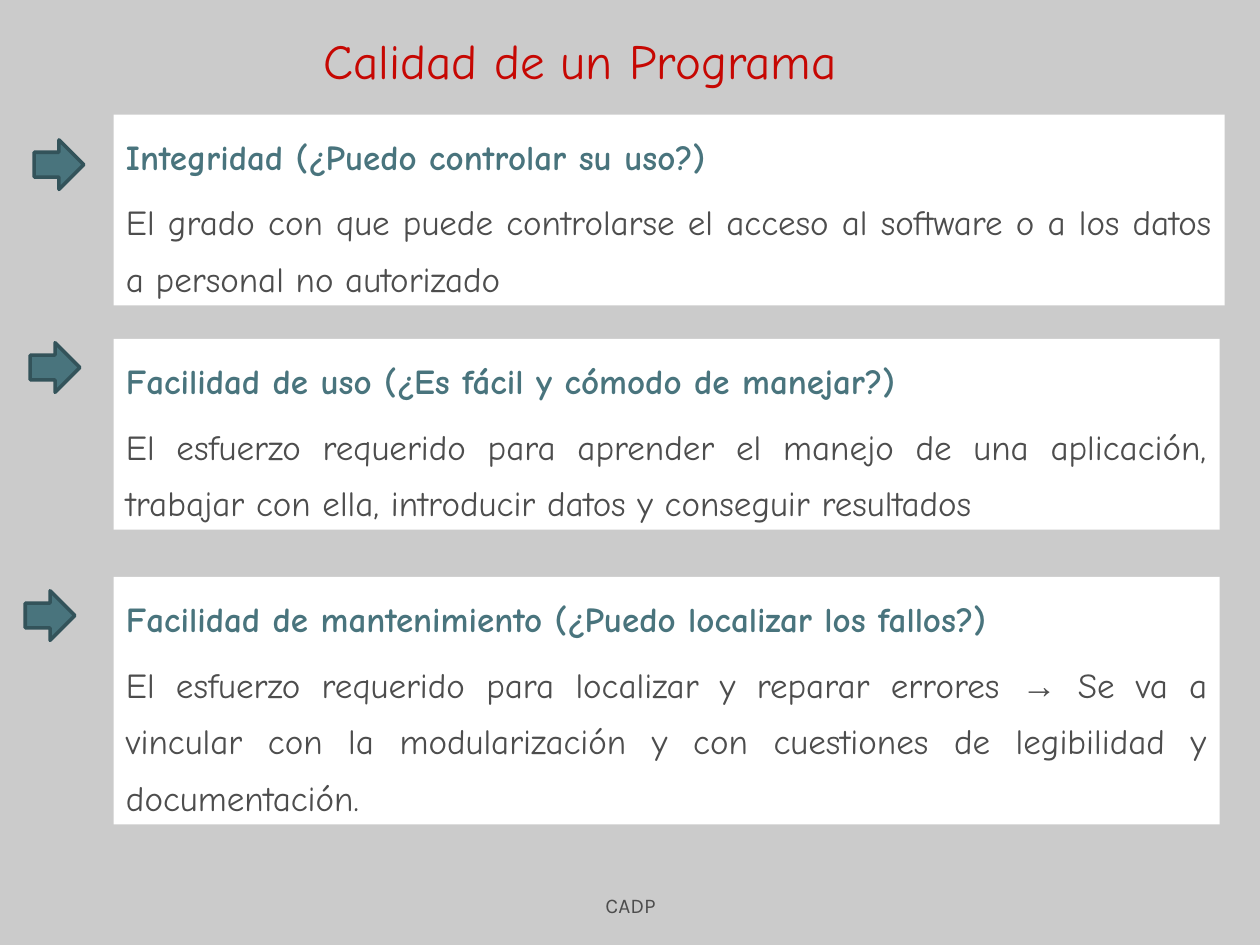
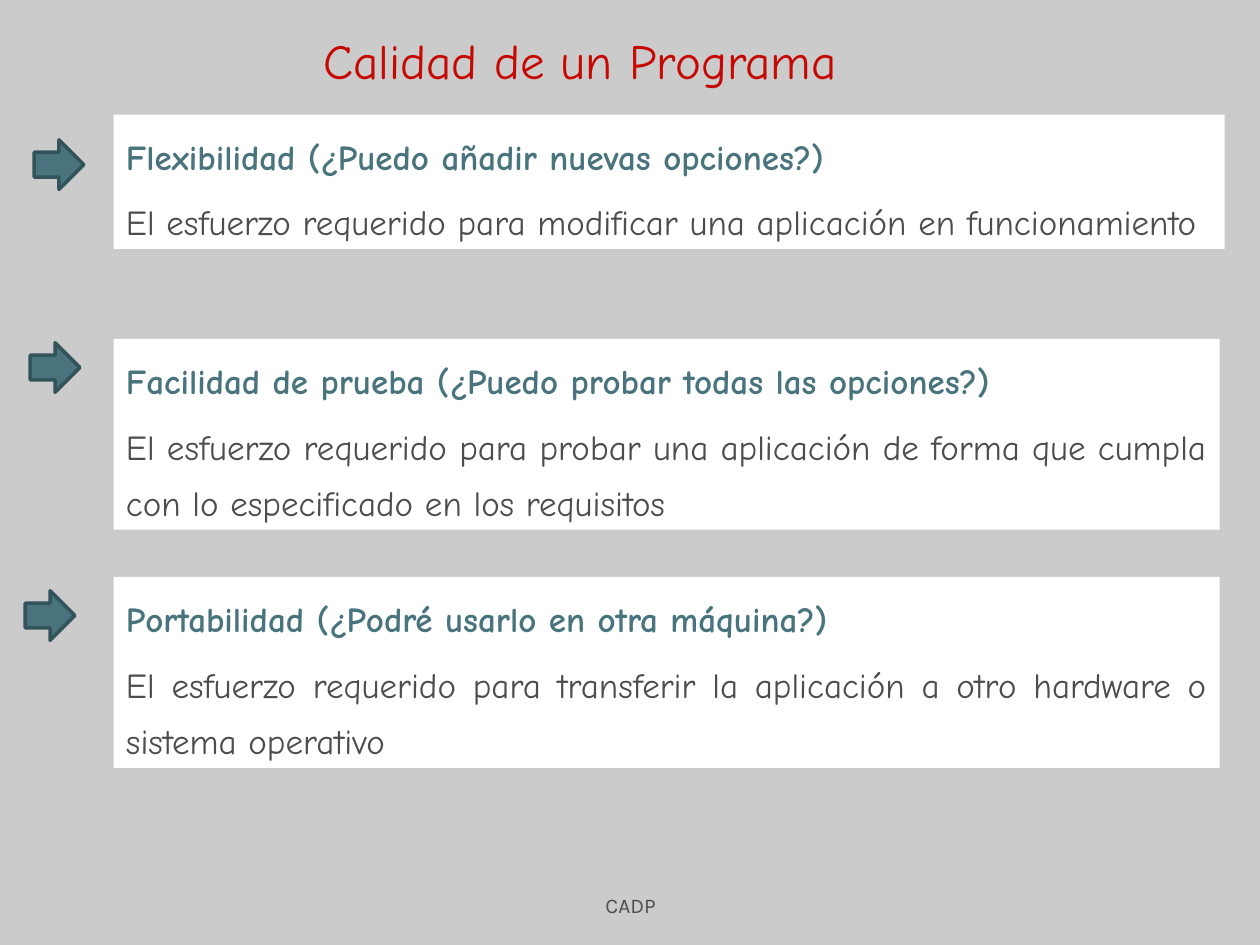
from pptx import Presentation
from pptx.dml.color import RGBColor
from pptx.enum.shapes import MSO_SHAPE
from pptx.enum.text import MSO_ANCHOR, MSO_AUTO_SIZE, PP_ALIGN
from pptx.util import Cm, Pt

GREY = RGBColor(0xCB, 0xCB, 0xCB)
WHITE = RGBColor(0xFF, 0xFF, 0xFF)
RED = RGBColor(0xC6, 0x07, 0x02)
TEAL = RGBColor(0x49, 0x74, 0x7D)
DARK_TEAL = RGBColor(0x33, 0x53, 0x5A)
TEXT_GREY = RGBColor(0x4D, 0x4D, 0x4D)
TEXT_FONT = "Comic Neue"
FOOTER_FONT = "Karla"
SYMBOL_FONT = "Arial"

TITLE = "Calidad de un Programa"
FOOTER = "CADP"

# Box top and width, then arrow left and top, in centimetres
ROWS = [
    (2.31, 22.4, 0.69, 2.82),
    (6.83, 22.3, 0.61, 6.91),
    (11.63, 22.3, 0.51, 11.91),
]
BOX_LEFT = 2.29
HEADING_HEIGHT = 1.57
LINE_HEIGHT = 1.14
ARROW_SIZE = 1

# Each quality: heading, definition, number of lines in the definition
SLIDES = [
    [
        ("Integridad (¿Puedo controlar su uso?)",
         "El grado con que puede controlarse el acceso al software o a los datos "
         "a personal no autorizado", 2),
        ("Facilidad de uso (¿Es fácil y cómodo de manejar?)",
         "El esfuerzo requerido para aprender el manejo de una aplicación, "
         "trabajar con ella, introducir datos y conseguir resultados", 2),
        ("Facilidad de mantenimiento (¿Puedo localizar los fallos?)",
         "El esfuerzo requerido para localizar y reparar errores → Se va a "
         "vincular con la modularización y con cuestiones de legibilidad y "
         "documentación.", 3),
    ],
    [
        ("Flexibilidad (¿Puedo añadir nuevas opciones?)",
         "El esfuerzo requerido para modificar una aplicación en funcionamiento", 1),
        ("Facilidad de prueba (¿Puedo probar todas las opciones?)",
         "El esfuerzo requerido para probar una aplicación de forma que cumpla "
         "con lo especificado en los requisitos", 2),
        ("Portabilidad (¿Podré usarlo en otra máquina?)",
         "El esfuerzo requerido para transferir la aplicación a otro hardware o "
         "sistema operativo", 2),
    ],
]


def format_paragraph(paragraph, font_name, size, color, bold=False,
                     alignment=PP_ALIGN.JUSTIFY, line_spacing=1.35, space_before=5):
    paragraph.alignment = alignment
    paragraph.line_spacing = line_spacing
    paragraph.space_before = Pt(space_before)
    font = paragraph.font
    font.name = font_name
    font.size = Pt(size)
    font.bold = bold
    font.color.rgb = color


def add_flat_shape(slide, shape_type, left, top, width, height, color):
    """Add a shadowless filled shape without outline, measured in centimetres."""
    shape = slide.shapes.add_shape(shape_type, Cm(left), Cm(top), Cm(width), Cm(height))
    shape.shadow.inherit = False
    shape.fill.solid()
    shape.fill.fore_color.rgb = color
    shape.line.fill.background()
    return shape


presentation = Presentation()
presentation.slide_width = Cm(25.4)
presentation.slide_height = Cm(19.05)
background = presentation.slide_master.background.fill
background.solid()
background.fore_color.rgb = GREY
title_only = presentation.slide_layouts.get_by_name("Title Only")

for qualities in SLIDES:
    slide = presentation.slides.add_slide(title_only)

    title = slide.shapes.title
    title.left, title.top, title.width, title.height = Cm(6.27), Cm(0.13), Cm(18.85), Cm(1.8)
    title.text_frame.text = TITLE
    title.text_frame.auto_size = MSO_AUTO_SIZE.NONE
    title.text_frame.vertical_anchor = MSO_ANCHOR.BOTTOM
    format_paragraph(title.text_frame.paragraphs[0], TEXT_FONT, 28, RED, space_before=7)

    footer = slide.shapes.add_textbox(Cm(8.69), Cm(17.35), Cm(8.05), Cm(1.27)).text_frame
    footer.word_wrap = True
    footer.vertical_anchor = MSO_ANCHOR.BOTTOM
    footer.text = FOOTER
    format_paragraph(footer.paragraphs[0], FOOTER_FONT, 12, TEXT_GREY,
                     alignment=PP_ALIGN.CENTER, line_spacing=1.0, space_before=0)

    for row, quality in zip(ROWS, qualities):
        box_top, box_width, arrow_left, arrow_top = row
        heading, definition, line_count = quality

        arrow = add_flat_shape(slide, MSO_SHAPE.RIGHT_ARROW, arrow_left, arrow_top,
                               ARROW_SIZE, ARROW_SIZE, TEAL)
        arrow.line.color.rgb = DARK_TEAL
        arrow.line.width = Pt(2)

        box = add_flat_shape(slide, MSO_SHAPE.RECTANGLE, BOX_LEFT, box_top, box_width,
                             HEADING_HEIGHT + LINE_HEIGHT * line_count, WHITE)
        text_frame = box.text_frame
        text_frame.word_wrap = True
        text_frame.auto_size = MSO_AUTO_SIZE.SHAPE_TO_FIT_TEXT
        text_frame.vertical_anchor = MSO_ANCHOR.TOP
        text_frame.text = heading
        format_paragraph(text_frame.paragraphs[0], TEXT_FONT, 20, TEAL, bold=True)

        paragraph = text_frame.add_paragraph()
        format_paragraph(paragraph, TEXT_FONT, 20, TEXT_GREY)
        before, symbol, after = definition.partition("→")
        paragraph.add_run().text = before
        if symbol:
            symbol_run = paragraph.add_run()
            symbol_run.text = symbol
            symbol_run.font.name = SYMBOL_FONT
            paragraph.add_run().text = after

presentation.save("out.pptx")
